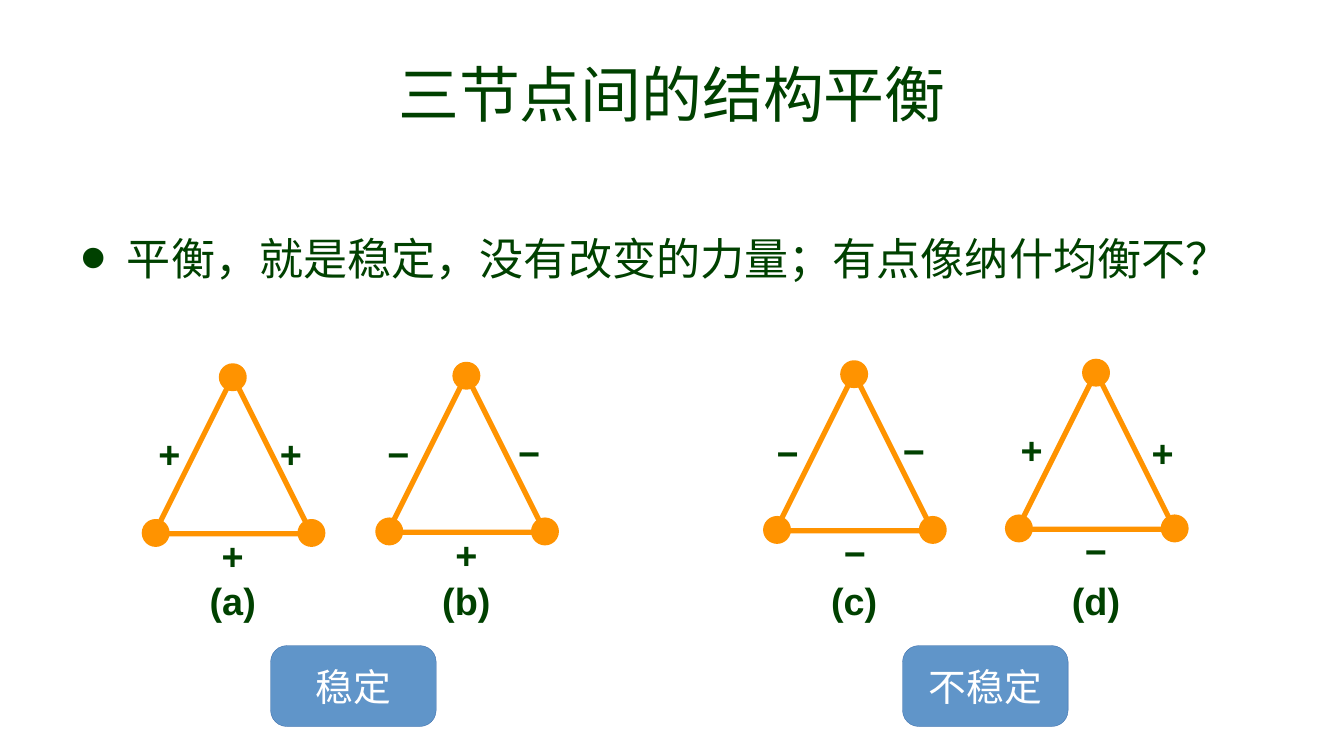
from pptx import Presentation, util as u
from pptx.dml.color import RGBColor
from pptx.enum import shapes as s, text as t
from lxml import etree

GREEN = RGBColor(0x00, 0x41, 0x00)
ORANGE = RGBColor(0xFF, 0x93, 0x00)
BLUE = RGBColor(0x60, 0x95, 0xC9)
EDGE = RGBColor(0x2F, 0x62, 0xA3)
WHITE = RGBColor(0xFF, 0xFF, 0xFF)

deck = Presentation()
deck.slide_width, deck.slide_height = u.Inches(17.78), u.Inches(10)
unit = deck.slide_height / 10  # ten rows, square cells
slide = deck.slides.add_slide(deck.slide_layouts[5])


def box(x, y, w, h):
    """Grid position and size, in slide units."""
    return [round(n * unit) for n in (x, y, w, h)]


def write(shape, words, size, color, bold=False, align=t.PP_ALIGN.CENTER, pad=0.06):
    """Put one run into a shape, centred from top to bottom."""
    frame = shape.text_frame
    frame.vertical_anchor = t.MSO_ANCHOR.MIDDLE
    frame.margin_left = frame.margin_right = round(pad * unit)
    frame.margin_top = frame.margin_bottom = round(pad * unit)
    para = frame.paragraphs[0]
    para.alignment = align
    run = para.add_run()
    run.text = words
    run.font.name, run.font.size, run.font.bold = "Arial", u.Pt(size), bold
    run.font.color.rgb = color
    return para


# Title
title = slide.shapes.title
title.left, title.top, title.width, title.height = box(0.89, 0.13, 16, 2.2)
write(title, "三节点间的结构平衡", 58, GREEN, pad=0)

# Bullet line
body = slide.shapes.add_textbox(*box(0.89, 2.5, 16, 1.75))
body.text_frame.word_wrap = True
para = write(body, "平衡，就是稳定，没有改变的力量；有点像纳什均衡不？",
             42, GREEN, align=t.PP_ALIGN.LEFT, pad=0)
para.line_spacing = 1.1
props = para._p.get_or_add_pPr()
props.set("marL", str(round(0.79 * unit)))
props.set("indent", str(round(-0.62 * unit)))
ns = "{http://schemas.openxmlformats.org/drawingml/2006/main}"
for tag, key, val in (("buSzPct", "val", "171000"),
                      ("buFont", "typeface", "Arial"),
                      ("buChar", "char", "•")):
    etree.SubElement(props, ns + tag).set(key, val)

# Triangles: name, centre, top, then sign with its centre for each side
side, dot = 2.08, 0.3
graphs = [
    ("(a)", 3.08, 4.98, [("+", 2.24, 6), ("+", 3.85, 6), ("+", 3.08, 7.35)]),
    ("(b)", 6.17, 4.96, [("−", 5.27, 6), ("−", 7, 5.98), ("+", 6.17, 7.33)]),
    ("(c)", 11.3, 4.94, [("−", 10.42, 5.98), ("−", 12.09, 5.96), ("−", 11.31, 7.31)]),
    ("(d)", 14.5, 4.92, [("+", 13.65, 5.94), ("+", 15.38, 5.99), ("−", 14.5, 7.28)]),
]
for name, mid, top, signs in graphs:
    edges = slide.shapes.add_shape(s.MSO_SHAPE.ISOSCELES_TRIANGLE,
                                   *box(mid - side / 2, top, side, side))
    edges.fill.background()
    nodes = []
    for x, y in ((mid, top), (mid - side / 2 + 0.02, top + side - 0.02),
                 (mid + side / 2, top + side - 0.02)):
        node = slide.shapes.add_shape(s.MSO_SHAPE.OVAL,
                                      *box(x - dot / 2, y - dot / 2 + 0.01, dot, dot))
        node.fill.solid()
        node.fill.fore_color.rgb = ORANGE
        nodes.append(node)
    for shape in [edges] + nodes:
        shape.shadow.inherit = False
        shape.line.color.rgb = ORANGE
        shape.line.width = u.Pt(5)

    # Signs on the sides and the name below
    for words, x, y in signs + [(name, mid, 7.94)]:
        wide = 0.86 if words == name else 0.53
        label = slide.shapes.add_textbox(*box(x - wide / 2, y - 0.36, wide, 0.72))
        label.text_frame.word_wrap = False
        write(label, words, 36, GREEN, bold=True)

# Verdict under each pair
for words, x in (("稳定", 3.58), ("不稳定", 11.94)):
    tag = slide.shapes.add_shape(s.MSO_SHAPE.ROUNDED_RECTANGLE,
                                 *box(x, 8.54, 2.19, 1.07))
    tag.adjustments[0] = 0.2
    tag.shadow.inherit = False
    tag.fill.solid()
    tag.fill.fore_color.rgb = BLUE
    tag.line.color.rgb = EDGE
    tag.line.width = u.Pt(0.25)
    write(tag, words, 36, WHITE)

deck.save("out.pptx")
